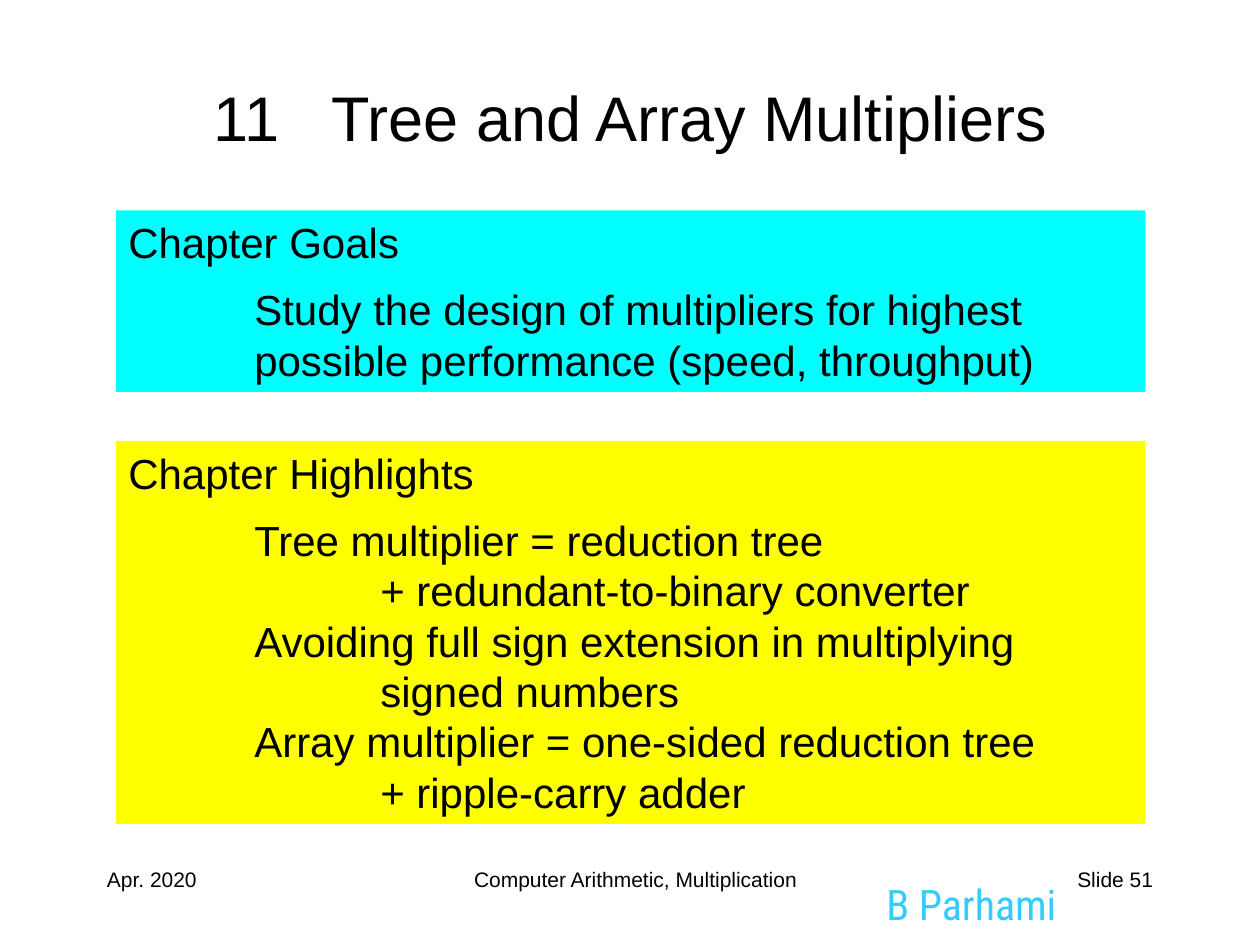
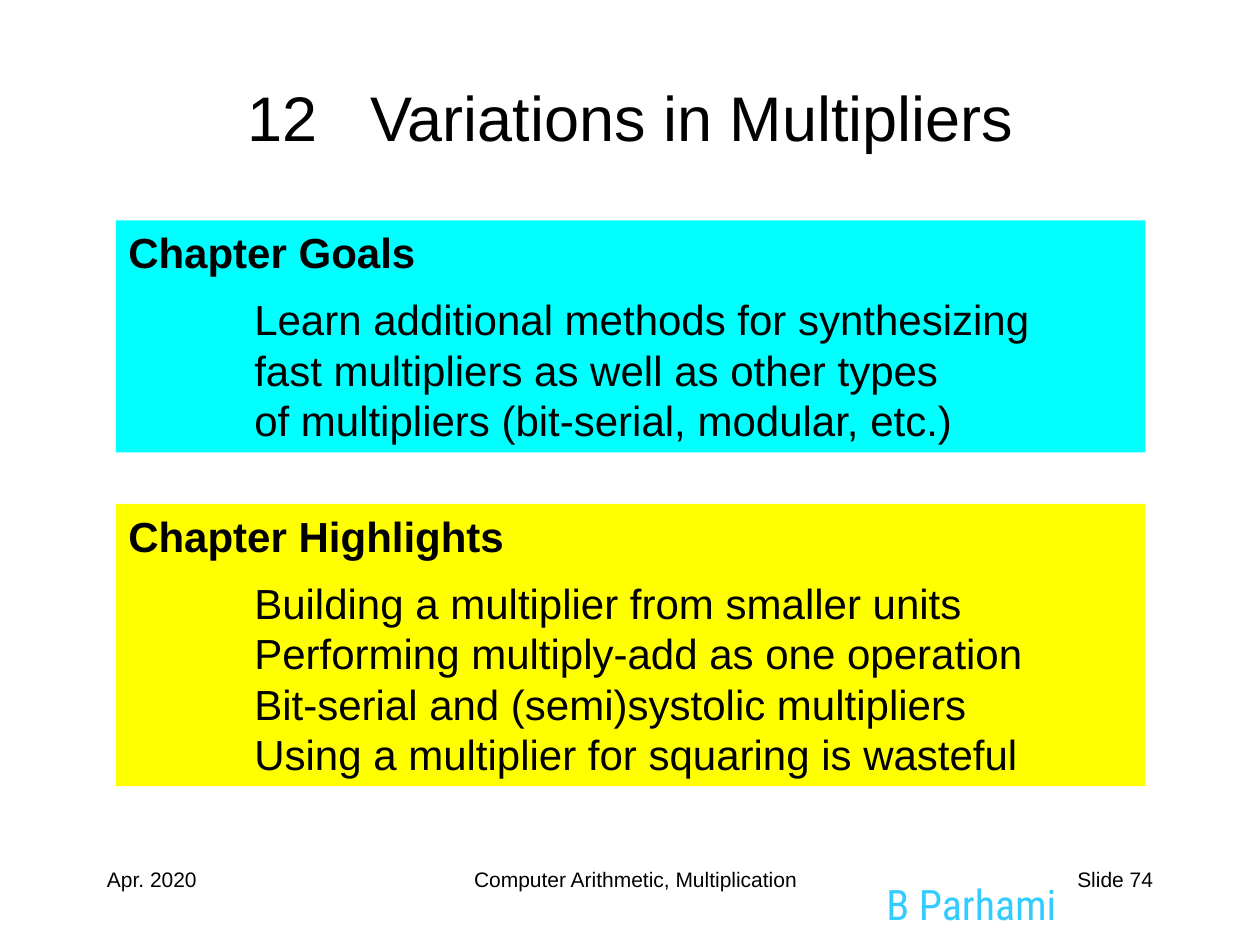
"""Build the opening slides of two chapters on computer multiplication."""
from dataclasses import dataclass

from pptx import Presentation
from pptx.dml.color import RGBColor
from pptx.enum.shapes import MSO_SHAPE
from pptx.enum.text import MSO_ANCHOR as Anchor, MSO_AUTO_SIZE as AutoSize, PP_ALIGN as Align
from pptx.slide import Slide
from pptx.text.text import Font
from pptx.util import Inches, Pt

BLACK = RGBColor(0x00, 0x00, 0x00)
CYAN = RGBColor(0x00, 0xFF, 0xFF)
YELLOW = RGBColor(0xFF, 0xFF, 0x00)
SKY = RGBColor(0x33, 0xCC, 0xFF)
BODY_FONT = "Arial"
AUTHOR_FONT = "Roboto Condensed"
TITLE_ONLY = 5


@dataclass(frozen=True)
class Line:
    text: str
    level: int = 1


@dataclass(frozen=True)
class Panel:
    heading: str
    fill: RGBColor
    top: float
    height: float
    lines: tuple[Line, ...]


@dataclass(frozen=True)
class Chapter:
    number: str
    name: str
    page: int
    bold_headings: bool
    panels: tuple[Panel, ...]


@dataclass(frozen=True)
class Label:
    text: str
    left: float
    top: float
    width: float
    height: float
    align: Align = Align.LEFT
    size: int = 12
    face: str = BODY_FONT
    color: RGBColor = BLACK


SHARED_LABELS = (
    Label("B Parhami", 6.86, 6.92, 1.7, 0.42, Align.CENTER, 24, AUTHOR_FONT, SKY),
    Label("Apr. 2020", 0.75, 6.83, 2.08, 0.5),
    Label("Computer Arithmetic, Multiplication", 2.42, 6.83, 5.25, 0.5, Align.CENTER),
)

CHAPTERS = (
    Chapter("11", "Tree and Array Multipliers", 51, False, (
        Panel("Chapter Goals", CYAN, 1.67, 1.44, (
            Line("Study the design of multipliers for highest"),
            Line("possible performance (speed, throughput)"),
        )),
        Panel("Chapter Highlights", YELLOW, 3.5, 3.04, (
            Line("Tree multiplier = reduction tree"),
            Line("+ redundant-to-binary converter", 2),
            Line("Avoiding full sign extension in multiplying"),
            Line("signed numbers", 2),
            Line("Array multiplier = one-sided reduction tree"),
            Line("+ ripple-carry adder", 2),
        )),
    )),
    Chapter("12", "Variations in Multipliers", 74, True, (
        Panel("Chapter Goals", CYAN, 1.75, 1.84, (
            Line("Learn additional methods for synthesizing"),
            Line("fast multipliers as well as other types"),
            Line("of multipliers (bit-serial, modular, etc.)"),
        )),
        Panel("Chapter Highlights", YELLOW, 4, 2.24, (
            Line("Building a multiplier from smaller units"),
            Line("Performing multiply-add as one operation"),
            Line("Bit-serial and (semi)systolic multipliers"),
            Line("Using a multiplier for squaring is wasteful"),
        )),
    )),
)


def style_font(font: Font, size: int, face: str = BODY_FONT,
               color: RGBColor = BLACK, bold: bool = False) -> None:
    """Apply face, size, weight and colour to a font."""
    font.name, font.size, font.bold = face, Pt(size), bold
    font.color.rgb = color


def add_title(slide: Slide, chapter: Chapter) -> None:
    """Place the title, with a wide gap after the chapter number."""
    title = slide.shapes.title
    title.left, title.top = Inches(0.42), Inches(0.42)
    title.width, title.height = Inches(9.17), Inches(1)
    frame = title.text_frame
    frame.auto_size, frame.vertical_anchor = AutoSize.NONE, Anchor.MIDDLE
    paragraph = frame.paragraphs[0]
    paragraph.alignment = Align.CENTER
    for part in (chapter.number, " ", chapter.name):
        run = paragraph.add_run()
        run.text = part
        style_font(run.font, 36)
        if part == " ":
            run.font._element.set("spc", "2000")


def add_label(slide: Slide, label: Label) -> None:
    """Add one line of footer text."""
    box = slide.shapes.add_textbox(Inches(label.left), Inches(label.top),
                                   Inches(label.width), Inches(label.height))
    frame = box.text_frame
    frame.text, frame.word_wrap = label.text, True
    paragraph = frame.paragraphs[0]
    paragraph.alignment = label.align
    style_font(paragraph.runs[0].font, label.size, label.face, label.color)


def add_panel(slide: Slide, panel: Panel, bold_heading: bool) -> None:
    """Add a coloured panel with a heading and indented lines."""
    box = slide.shapes.add_shape(MSO_SHAPE.RECTANGLE, Inches(0.92), Inches(panel.top),
                                 Inches(8.17), Inches(panel.height))
    box.shadow.inherit = False
    box.fill.solid()
    box.fill.fore_color.rgb = panel.fill
    box.line.fill.background()
    frame = box.text_frame
    frame.word_wrap, frame.vertical_anchor = True, Anchor.TOP
    rows = (Line(panel.heading, 0), *panel.lines)
    frame.text = "\n".join(row.text for row in rows)
    for index, (row, paragraph) in enumerate(zip(rows, frame.paragraphs)):
        paragraph.alignment = Align.JUSTIFY
        paragraph.line_spacing = Pt(28.8)
        paragraph._p.get_or_add_pPr().set("marL", str(Inches(row.level)))
        if index == 1:
            paragraph.space_before = Pt(9.6)
        style_font(paragraph.runs[0].font, 24, bold=bold_heading and index == 0)


def main() -> None:
    """Build and save the deck."""
    deck = Presentation()
    deck.slide_width, deck.slide_height = Inches(10), Inches(7.5)
    for chapter in CHAPTERS:
        slide = deck.slides.add_slide(deck.slide_layouts[TITLE_ONLY])
        add_title(slide, chapter)
        page_label = Label(f"Slide {chapter.page}", 7.17, 6.83, 2.08, 0.5, Align.RIGHT)
        for label in (*SHARED_LABELS, page_label):
            add_label(slide, label)
        for panel in chapter.panels:
            add_panel(slide, panel, chapter.bold_headings)
    deck.save("out.pptx")


if __name__ == "__main__":
    main()
